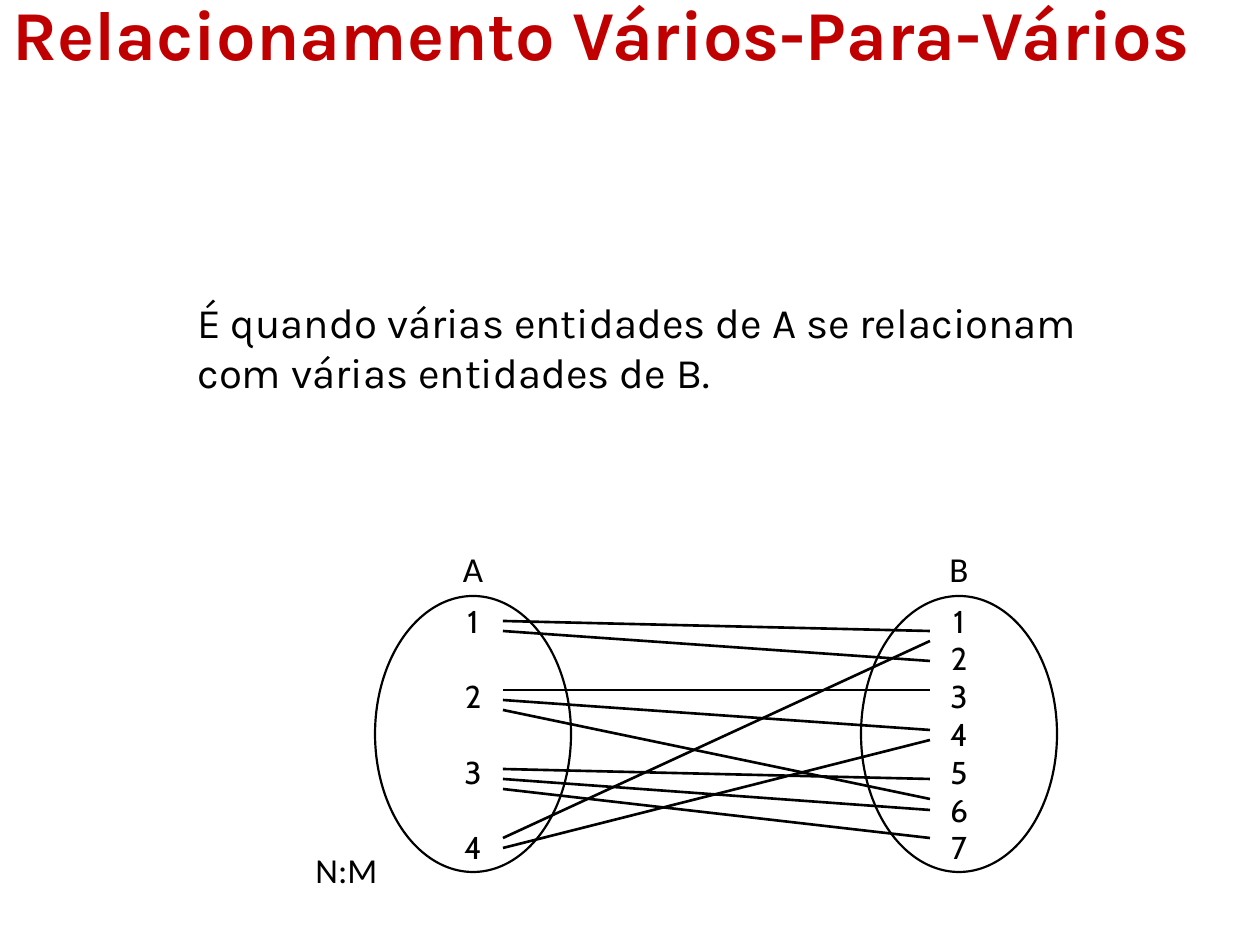
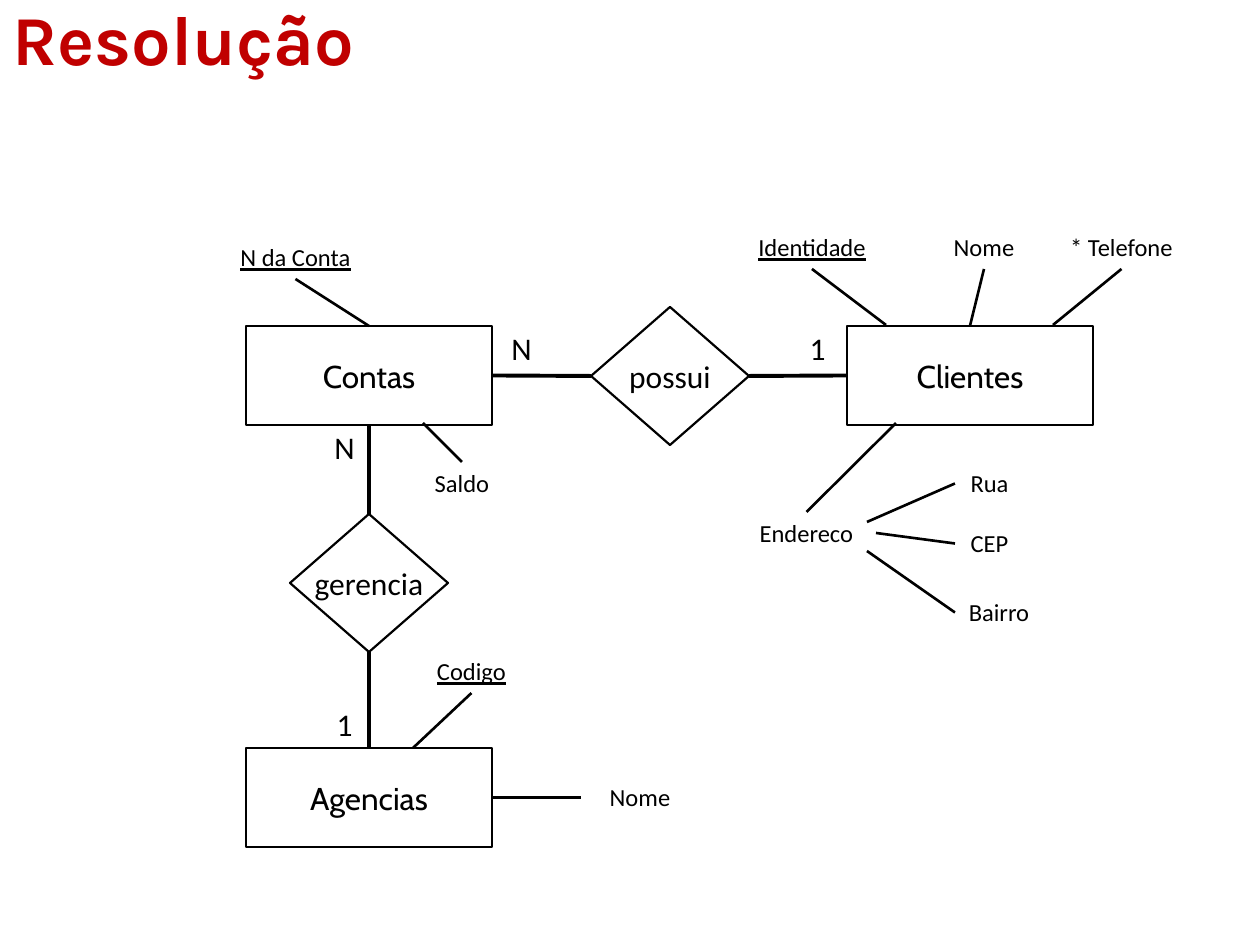
from lxml import etree
from pptx import Presentation
from pptx.dml.color import RGBColor
from pptx.enum.shapes import MSO_CONNECTOR, MSO_SHAPE
from pptx.enum.text import MSO_ANCHOR, MSO_AUTO_SIZE, PP_ALIGN
from pptx.oxml.ns import qn
from pptx.util import Pt

STRAIGHT = MSO_CONNECTOR.STRAIGHT
RECTANGLE, DIAMOND, OVAL = MSO_SHAPE.RECTANGLE, MSO_SHAPE.DIAMOND, MSO_SHAPE.OVAL
LEFT_ALIGN, CENTER = PP_ALIGN.LEFT, PP_ALIGN.CENTER
TOP_ANCHOR, MIDDLE = MSO_ANCHOR.TOP, MSO_ANCHOR.MIDDLE
NO_RESIZE = MSO_AUTO_SIZE.NONE
TOP, LEFT, BOTTOM, RIGHT = range(4)

BLACK = RGBColor(0x00, 0x00, 0x00)
WHITE = RGBColor(0xFF, 0xFF, 0xFF)
RED = RGBColor(0xC0, 0x00, 0x00)

TITLE_FONT, SET_FONT, LABEL_FONT = "Karla", "Cabin", "Calibri"
PX_PER_INCH = 126
SLIDE_W, SLIDE_H = 1260, 945
LABEL_HEIGHTS = {14: 43, 18: 50, 20: 55}
LINK_WIDTH, RELATION_WIDTH, OUTLINE_WIDTH = 1.5, 2.25, 1.25


def emu(px):
    return round(px * 914400 / PX_PER_INCH)


class Deck:
    def __init__(self):
        self.prs = Presentation()
        self.prs.slide_width, self.prs.slide_height = emu(SLIDE_W), emu(SLIDE_H)
        self.slide = None

    def add_slide(self, title, top, width, height):
        self.slide = self.prs.slides.add_slide(self.prs.slide_layouts[5])
        heading = self.slide.shapes.title
        heading.left, heading.top = 0, emu(top)
        heading.width, heading.height = emu(width), emu(height)
        self.set_text(heading, [title], TITLE_FONT, 40, RED, LEFT_ALIGN, MIDDLE, bold=True)

    def set_text(self, shape, lines, font, size, color=BLACK, align=CENTER,
                 anchor=TOP_ANCHOR, bold=False, underline=False, gap=0, wrap=True):
        frame = shape.text_frame
        frame.text = "\n".join(lines)
        frame.word_wrap = wrap
        frame.auto_size = NO_RESIZE
        frame.vertical_anchor = anchor
        for index, paragraph in enumerate(frame.paragraphs):
            paragraph.alignment = align
            paragraph.space_before = Pt(gap if index else 0)
            style = paragraph.font
            style.name, style.size = font, Pt(size)
            style.bold, style.underline = bold, underline
            style.color.rgb = color

    def text(self, words, x, y, w, h, font, size, **style):
        box = self.slide.shapes.add_textbox(emu(x), emu(y), emu(w), emu(h))
        self.set_text(box, [words], font, size, **style)
        return box

    def label(self, words, x, y, w, size=14, underline=False):
        return self.text(words, x, y, w, LABEL_HEIGHTS[size], LABEL_FONT, size,
                         underline=underline)

    def outline(self, kind, lines, x, y, w, h, font=SET_FONT, gap=0, wrap=True):
        shape = self.slide.shapes.add_shape(kind, emu(x), emu(y), emu(w), emu(h))
        shape.shadow.inherit = False
        shape.fill.solid()
        shape.fill.fore_color.rgb = WHITE
        shape.line.color.rgb = BLACK
        shape.line.width = Pt(OUTLINE_WIDTH)
        self.set_text(shape, lines, font, 18, anchor=MIDDLE, gap=gap, wrap=wrap)
        return shape

    def entity(self, name, x, y):
        return self.outline(RECTANGLE, [name], x, y, 246, 99)

    def relation(self, name, x, y):
        return self.outline(DIAMOND, [name], x, y, 158, 138, LABEL_FONT, wrap=False)

    def link(self, start, end, width=LINK_WIDTH):
        line = self.slide.shapes.add_connector(STRAIGHT, 0, 0, 0, 0)
        if isinstance(start[0], int):
            line.begin_x, line.begin_y = map(emu, start)
        else:
            line.begin_connect(*start)
        if isinstance(end[0], int):
            line.end_x, line.end_y = map(emu, end)
        else:
            line.end_connect(*end)
        line.line.color.rgb = BLACK
        line.line.width = Pt(width)
        etree.SubElement(line._element.spPr, qn("a:effectLst"))


def many_to_many(deck):
    deck.add_slide("Relacionamento Vários-Para-Vários", 0, SLIDE_W, 66)
    deck.text("É quando várias entidades de A se relacionam com várias entidades de B.",
              185, 290, 962, 233, TITLE_FONT, 24, align=LEFT_ALIGN)
    for name, x, members, gap in (("A", 375, "1234", 21.5), ("B", 861, "1234567", 0)):
        deck.outline(OVAL, members, x, 596, 196, 276, gap=gap)
        deck.label(name, x + 63, 541, 70, size=20)
    deck.label("N:M", 295, 842, 103, size=20)
    pairs = ((621, 631), (631, 661), (690, 690), (700, 730), (710, 799),
             (769, 779), (779, 810), (789, 838), (838, 641), (848, 740))
    for from_a, to_b in pairs:
        deck.link((503, from_a), (930, to_b))


def resolution(deck):
    deck.add_slide("Resolução", -1, 1134, 77)
    accounts = deck.entity("Contas", 246, 326)
    clients = deck.entity("Clientes", 847, 326)
    branches = deck.entity("Agencias", 246, 748)
    owns = deck.relation("possui", 591, 307)
    manages = deck.relation("gerencia", 290, 514)
    for start, end in (((accounts, RIGHT), (owns, LEFT)),
                       ((owns, RIGHT), (clients, LEFT)),
                       ((manages, TOP), (accounts, BOTTOM)),
                       ((branches, TOP), (manages, BOTTOM))):
        deck.link(start, end, RELATION_WIDTH)

    for cardinality, x, y in (("N", 492, 323), ("1", 788, 323),
                              ("N", 315, 422), ("1", 315, 699)):
        deck.label(cardinality, x, y, 59, size=18)

    attributes = (
        ("N da Conta", 197, 236, 197, True, BOTTOM, (accounts, TOP)),
        ("Saldo", 403, 462, 118, False, TOP, (423, 423)),
        ("Codigo", 403, 650, 137, True, BOTTOM, (413, 748)),
        ("Nome", 581, 776, 118, False, LEFT, (branches, RIGHT)),
        ("Identidade", 728, 226, 168, True, BOTTOM, (886, 325)),
        ("Nome", 925, 226, 118, False, BOTTOM, (clients, TOP)),
        ("* Telefone", 1053, 226, 137, False, BOTTOM, (1053, 325)),
        ("Endereco", 738, 512, 137, False, TOP, (896, 423)),
        ("Rua", 955, 462, 69, False, LEFT, (867, 522)),
        ("CEP", 955, 522, 69, False, LEFT, (876, 533)),
        ("Bairro", 955, 591, 88, False, LEFT, (867, 551)),
    )
    for name, x, y, width, is_key, side, target in attributes:
        attribute = deck.label(name, x, y, width, underline=is_key)
        deck.link((attribute, side), target)


def main():
    deck = Deck()
    many_to_many(deck)
    resolution(deck)
    deck.prs.save("out.pptx")


if __name__ == "__main__":
    main()
